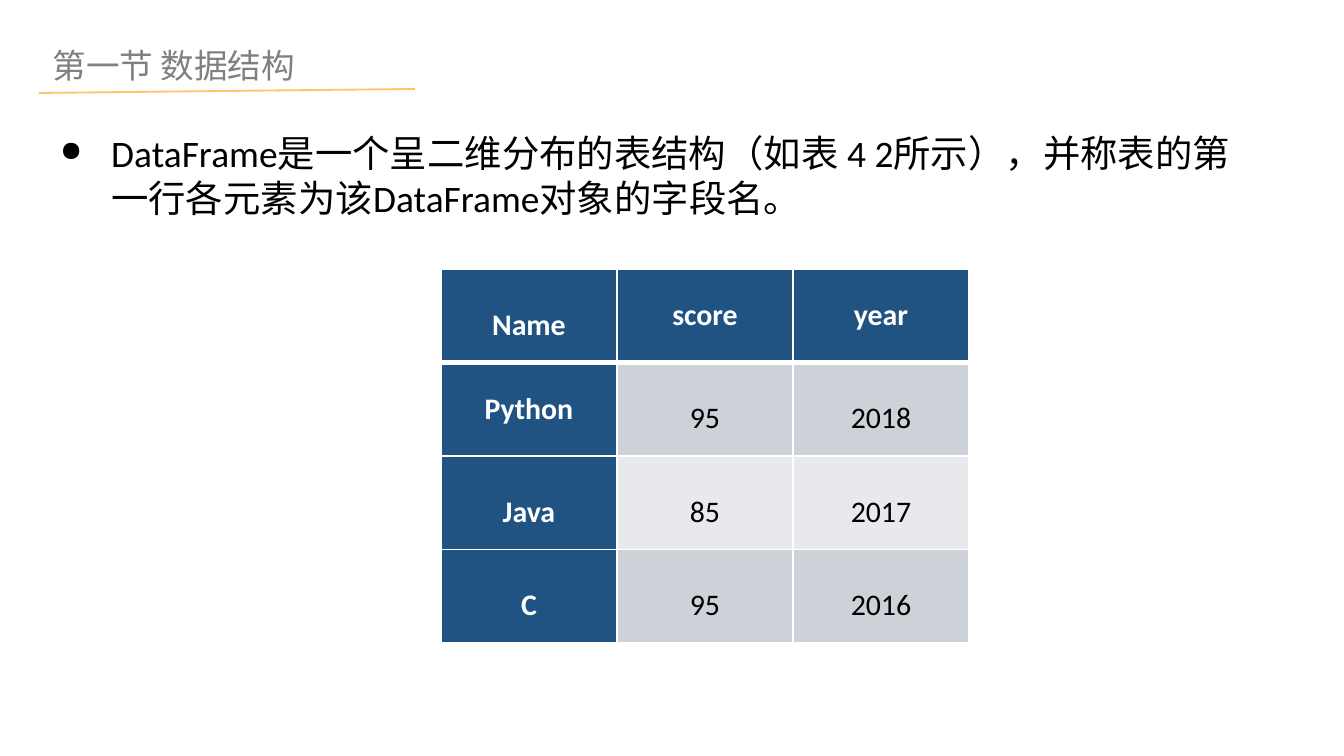
from lxml.etree import SubElement
from pptx import Presentation
from pptx.dml.color import RGBColor
from pptx.enum.shapes import MSO_CONNECTOR
from pptx.enum.text import MSO_ANCHOR, MSO_AUTO_SIZE, PP_ALIGN
from pptx.oxml.ns import qn
from pptx.util import Emu, Pt

TITLE = "第一节 数据结构"
BODY = ("DataFrame是一个呈二维分布的表结构（如表 4 2所示），"
        "并称表的第一行各元素为该DataFrame对象的字段名。")
ROWS = [
    ("Name", "score", "year"),
    ("Python", "95", "2018"),
    ("Java", "85", "2017"),
    ("C", "95", "2016"),
]
SINGLE_SPACED = {"score", "year", "Python"}

LATIN, CJK = "Calibri", "Noto Sans CJK SC"
BLUE, BANDS = "205381", ("E8E9ED", "CDD1D8")
WHITE, BLACK, GREY, AMBER = "FFFFFF", "000000", "808080", "FFC56C"

SLIDE = (1344, 756)
TITLE_BOX = (39, 38, 274, 51)
UNDERLINE = (39, 93, 415, 89)
BODY_BOX = (47, 124, 1227, 103)
TABLE_BOX = (441, 269, 528, 374)
BULLET_INDENT = 51


def px(*lengths):
    return [Emu(round(length * 914400 / 134.4)) for length in lengths]


def color(value):
    return RGBColor.from_string(value)


def assign(target, values):
    for name, value in values.items():
        setattr(target, name, value)


def write(frame, text, size, ink, font=LATIN, bold=False, **para_format):
    para = frame.paragraphs[0]
    assign(para, para_format)
    span = para.add_run()
    span.text = text
    assign(span.font, {"size": Pt(size), "name": font, "bold": bold})
    span.font.color.rgb = color(ink)
    SubElement(span.font._element, qn("a:ea"), typeface=CJK)
    return para


def add_bullet(para, indent):
    props = para._p.get_or_add_pPr()
    props.set("marL", str(indent))
    props.set("indent", str(-indent))
    SubElement(props, qn("a:buSzPct"), val="75000")
    SubElement(props, qn("a:buChar"), char="●")


def add_borders(cell, widths):
    """Draw white borders, given in points by side."""
    props = cell._tc.get_or_add_tcPr()
    for side, width in widths.items():
        line = SubElement(props, qn(f"a:ln{side}"), w=str(Pt(width)))
        fill = SubElement(line, qn("a:solidFill"))
        SubElement(fill, qn("a:srgbClr"), val=WHITE)


def add_heading(page):
    title = page.shapes.title
    assign(title, dict(zip(("left", "top", "width", "height"), px(*TITLE_BOX))))
    assign(title.text_frame, {
        "word_wrap": False, "auto_size": MSO_AUTO_SIZE.SHAPE_TO_FIT_TEXT,
        "vertical_anchor": MSO_ANCHOR.TOP,
    })
    write(title.text_frame, TITLE, 18, GREY, CJK, alignment=PP_ALIGN.LEFT)

    underline = page.shapes.add_connector(MSO_CONNECTOR.STRAIGHT, *px(*UNDERLINE))
    underline.line.color.rgb = color(AMBER)
    underline.line.width = Pt(1)
    SubElement(underline._element.spPr, qn("a:effectLst"))


def add_body(page):
    box = page.shapes.add_textbox(*px(*BODY_BOX))
    assign(box.text_frame, {"word_wrap": True,
                            "auto_size": MSO_AUTO_SIZE.SHAPE_TO_FIT_TEXT})
    para = write(box.text_frame, BODY, 20, BLACK, space_before=Pt(6))
    add_bullet(para, *px(BULLET_INDENT))


def add_score_table(page):
    table = page.shapes.add_table(len(ROWS), len(ROWS[0]), *px(*TABLE_BOX)).table
    table.first_col = True
    side_margin, = px(9)
    for r, row in enumerate(ROWS):
        for c, text in enumerate(row):
            cell = table.cell(r, c)
            heading = r == 0 or c == 0
            assign(cell, {
                "margin_left": side_margin, "margin_right": side_margin,
                "margin_top": 0, "margin_bottom": 0,
                "vertical_anchor": MSO_ANCHOR.MIDDLE,
            })
            add_borders(cell, {"L": 1, "R": 1, "T": 3 if r == 1 else 1,
                               "B": 3 if r == 0 else 1})
            cell.fill.solid()
            cell.fill.fore_color.rgb = color(BLUE if heading else BANDS[r % 2])
            write(cell.text_frame, text, 16, WHITE if heading else BLACK,
                  bold=heading, alignment=PP_ALIGN.CENTER,
                  line_spacing=1.0 if text in SINGLE_SPACED else 1.5)


def main():
    deck = Presentation()
    deck.slide_width, deck.slide_height = px(*SLIDE)
    page = deck.slides.add_slide(deck.slide_layouts[5])
    add_heading(page)
    add_body(page)
    add_score_table(page)
    deck.save("out.pptx")


if __name__ == "__main__":
    main()
